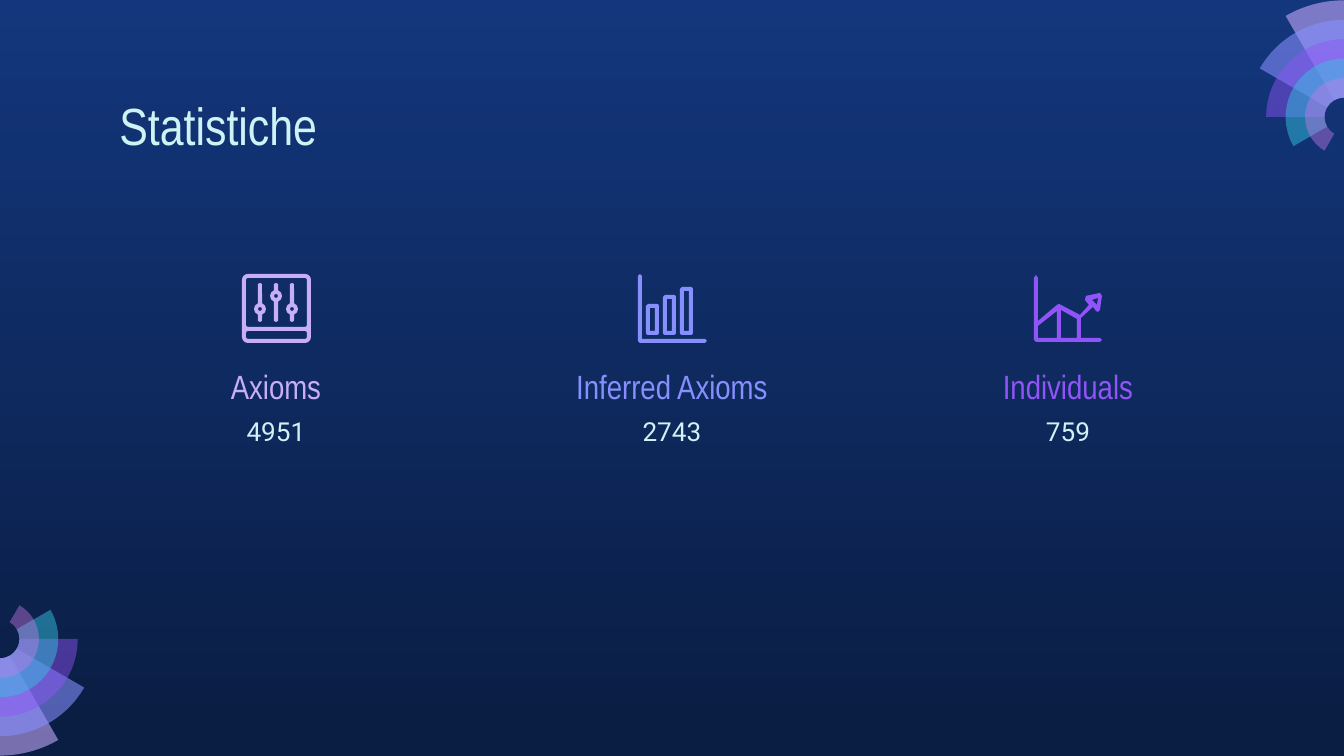
"""Build the Statistiche slide: three counts with icons and two corner fans."""
import math

import pptx
import pptx.dml.color
import pptx.enum.text
import pptx.oxml.ns
import pptx.util
from lxml import etree

PX = 914400 / 134.4
ANCHOR = pptx.enum.text.MSO_ANCHOR
ALIGN = pptx.enum.text.PP_ALIGN
COLORS = {
    "top": "13367C", "bottom": "0A1D42", "text": "CEF3F5",
    "lilac": "C8AEF8", "blue": "878FFF", "violet": "9154F8",
    "pale": "C8ACFD", "cyan": "35C2DF", "orchid": "CA7BEB",
}
TITLE = "Statistiche"
STATS = [
    ("Axioms", "4951", "lilac"),
    ("Inferred Axioms", "2743", "blue"),
    ("Individuals", "759", "violet"),
]
RINGS = [("pale", 58), ("blue", 58), ("violet", 46), ("cyan", 49), ("orchid", 42)]
FANS = [((0, 639), 0), ((1344, 117), 180)]
RING_STEP = 19.44
COLUMN_LEFT, COLUMN_WIDTH, COLUMN_PITCH = 106, 340, 396
ICON_LEFT, ICON_TOP = 242, 274
SLIDERS = [(18, 35), (34, 22), (50, 35)]
BARS = [(8, 30), (25, 21), (42, 13)]
AXES = [(0, 2), (2, 0), (4, 2), (4, 65), (67, 65), (69, 67), (67, 69), (2, 69), (0, 67)]
TREND = [
    [(0, 4), (2, 1), (4, 4), (4, 47), (23, 31), (25, 30), (46, 41), (55, 31),
     (51, 26), (52, 22), (66, 19), (68, 22), (66, 36), (64, 38), (62, 37), (59, 33),
     (47, 44), (47, 64), (66, 64), (68, 66), (66, 68), (2, 68), (0, 66)],
    [(64, 24), (63, 31), (58, 26)],
    [(23, 37), (23, 64), (4, 64), (4, 52)],
    [(27, 36), (43, 45), (43, 64), (27, 64)],
]
TITLE_FORMAT = {"size": 28, "name": "Arial Narrow"}
LABEL_FORMAT = {"size": 18, "name": "Arial Narrow"}
VALUE_FORMAT = {"size": 14, "name": "Roboto"}


def emu(px):
    return pptx.util.Emu(round(px * PX))


def rgb(name):
    return pptx.dml.color.RGBColor.from_string(COLORS[name])


def arc(cx, cy, radius, start, end):
    """Return the start point, then one triple of Bézier points per quadrant."""
    low, high = sorted((start, end))
    inner = [a for a in range(-360, 721, 90) if low < a < high]
    stops = [math.radians(a) for a in sorted([start, *inner, end], reverse=start > end)]

    def at(angle, pull=0):
        return (cx + radius * (math.cos(angle) - pull * math.sin(angle)),
                cy + radius * (math.sin(angle) + pull * math.cos(angle)))

    items = [at(stops[0])]
    for a, b in zip(stops, stops[1:]):
        pull = 4 / 3 * math.tan((b - a) / 4)
        items.append((at(a, pull), at(b, -pull), at(b)))
    return items


def round_rect(left, top, right, bottom, radius):
    corners = [(right - radius, top + radius, 270), (right - radius, bottom - radius, 0),
               (left + radius, bottom - radius, 90), (left + radius, top + radius, 180)]
    return [item for x, y, a in corners for item in arc(x, y, radius, a, a + 90)]


def slider(x, y):
    outline = [(x - 2, 10), (x, 9), (x + 2, 10), *arc(x, y, 6, -70, 70),
               (x + 2, 47), (x, 48), (x - 2, 47), *arc(x, y, 6, 110, 250)]
    return [outline, arc(x, y, 2, 0, 360)]


def bar(x, top):
    return [round_rect(x, top, x + 13, 61, 2),
            [(x + 4, top + 4), (x + 9, top + 4), (x + 9, 57), (x + 4, 57)]]


def is_curve(item):
    return len(item) == 3


def add_outline(shapes, contours, color, dx=0, dy=0, alpha=None):
    qn = pptx.oxml.ns.qn
    flat = [[pt for item in c for pt in (item if is_curve(item) else [item])]
            for c in contours]
    placed = [[(emu(x + dx), emu(y + dy)) for x, y in c] for c in flat]
    builder = shapes.build_freeform(*placed[0][0])
    for i, points in enumerate(placed):
        if i:
            builder.move_to(*points[0])
        builder.add_line_segments(points[1:], close=False)
    sp = builder.convert_to_shape()
    outline = next(sp._element.iter(qn("a:path")))
    steps = iter(list(outline))
    for contour in contours:
        for item in contour:
            step = next(steps)
            if is_curve(item):
                step.tag, curve = qn("a:lnTo"), etree.Element(qn("a:cubicBezTo"))
                step.addprevious(curve)
                for part in (step, next(steps), next(steps)):
                    curve.append(part[0])
                    outline.remove(part)
                step = curve
        step.addnext(etree.Element(qn("a:close")))
    sp.shadow.inherit = False
    sp.fill.solid()
    sp.fill.fore_color.rgb = rgb(color)
    sp.line.fill.background()
    if alpha:
        clr = next(sp._element.spPr.iter(qn("a:srgbClr")))
        etree.SubElement(clr, qn("a:alpha"), val=str(alpha * 1000))


def set_text(sp, box, text, fmt, color, align, anchor):
    sp.left, sp.top, sp.width, sp.height = map(emu, box)
    tf = sp.text_frame
    frame = {"word_wrap": True, "auto_size": pptx.enum.text.MSO_AUTO_SIZE.NONE,
             "vertical_anchor": anchor}
    frame.update({f"margin_{side}": pptx.util.Inches(0.1)
                  for side in ("left", "top", "right", "bottom")})
    for key, value in frame.items():
        setattr(tf, key, value)
    p = tf.paragraphs[0]
    p.alignment = align
    r = p.add_run()
    r.text = text
    for key, value in fmt.items():
        setattr(r.font, key, pptx.util.Pt(value) if key == "size" else value)
    r.font.color.rgb = rgb(color)


def add_fan(s, center, turn):
    shapes = s.shapes.add_group_shape().shapes
    for i, (color, alpha) in enumerate(RINGS):
        start, end = turn + 60 - 30 * i, turn + 90
        sector = (arc(*center, RING_STEP * (6 - i), start, end)
                  + arc(*center, RING_STEP, end, start))
        add_outline(shapes, [sector], color, alpha=alpha)


def main():
    prs = pptx.Presentation()
    prs.slide_width, prs.slide_height = emu(1344), emu(756)
    s = prs.slides.add_slide(prs.slide_layouts[5])
    fill = s.background.fill
    fill.gradient()
    fill.gradient_angle = 270
    for stop, position, color in zip(fill.gradient_stops, (0, 1), ("top", "bottom")):
        stop.position = position
        stop.color.rgb = rgb(color)

    for center, turn in FANS:
        add_fan(s, center, turn)
    set_text(s.shapes.title, (106, 80, 1133, 85), TITLE, TITLE_FORMAT, "text",
             ALIGN.LEFT, ANCHOR.TOP)
    for i, (label, value, color) in enumerate(STATS):
        left = COLUMN_LEFT + i * COLUMN_PITCH
        rows = [(357, 58, label, LABEL_FORMAT, color, ANCHOR.MIDDLE),
                (402, 117, value, VALUE_FORMAT, "text", ANCHOR.TOP)]
        for top, height, text, fmt, ink, anchor in rows:
            set_text(s.shapes.add_textbox(0, 0, 0, 0), (left, top, COLUMN_WIDTH, height),
                     text, fmt, ink, ALIGN.CENTER, anchor)

    frame = [round_rect(0, 0, 69, 69, 6), round_rect(4, 4, 65, 53, 2),
             round_rect(4, 57, 65, 65, 2)]
    icons = [
        [frame] + [slider(*place) for place in SLIDERS],
        [bar(*place) for place in BARS] + [[AXES]],
        [TREND],
    ]
    for i, (icon, (_, _, color)) in enumerate(zip(icons, STATS)):
        shapes = s.shapes.add_group_shape().shapes if len(icon) > 1 else s.shapes
        for contours in icon:
            add_outline(shapes, contours, color, ICON_LEFT + i * COLUMN_PITCH, ICON_TOP)
    prs.save("out.pptx")


if __name__ == "__main__":
    main()
